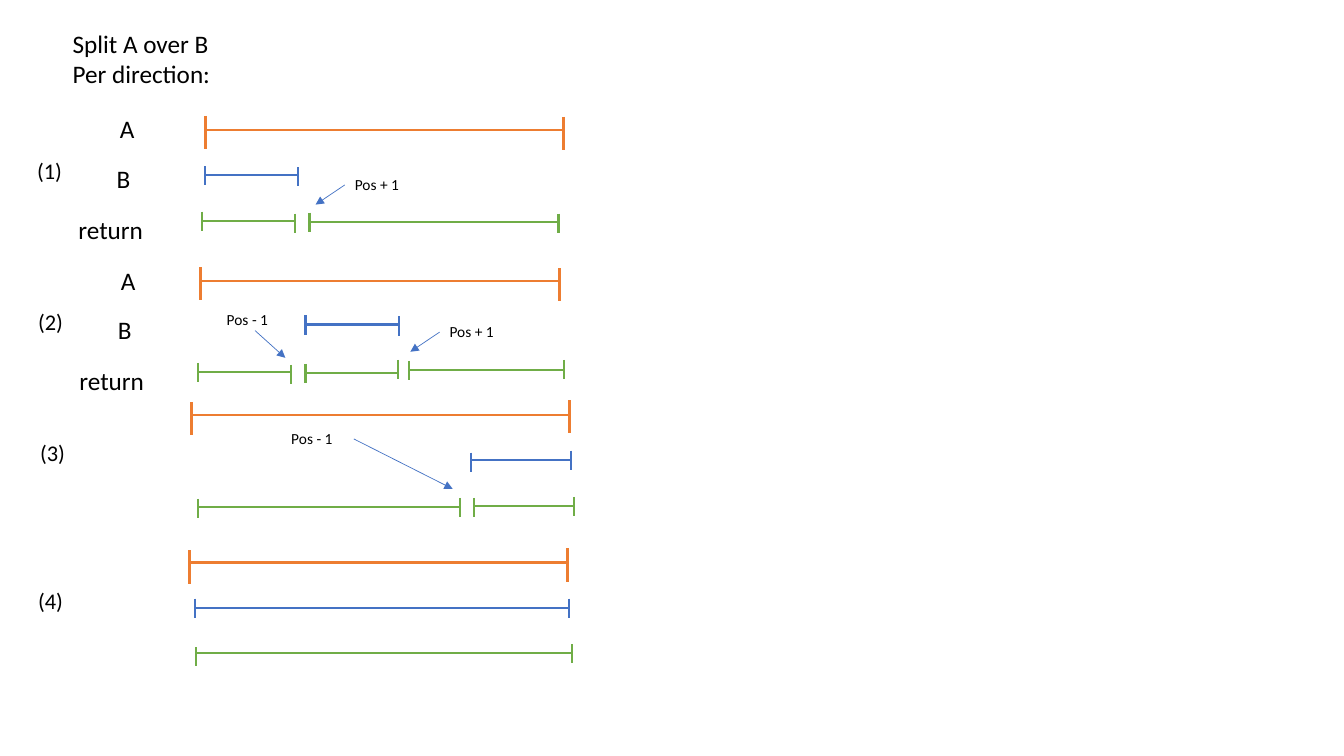
from lxml import etree
from pptx import Presentation
from pptx.dml.color import RGBColor
from pptx.enum.shapes import MSO_CONNECTOR
from pptx.enum.text import MSO_ANCHOR, MSO_AUTO_SIZE, PP_ALIGN
from pptx.oxml.ns import qn
from pptx.util import Inches, Pt

STRAIGHT = MSO_CONNECTOR.STRAIGHT
TOP = MSO_ANCHOR.TOP
NO_FIT = MSO_AUTO_SIZE.NONE
LEFT = PP_ALIGN.LEFT
LEFT_SIDE, RIGHT_SIDE = 1, 3

COLORS = {"text": "000000", "A": "ED7D31", "B": "4472C4",
          "return": "70AD47", "arrow": "4472C4"}
WEIGHTS = {"A": 1.75, "B": 1.5, "return": 1.5}
CAPS = {"A": 0.33, "B": 0.19, "return": 0.19}
NAMES = [("A", 0.82, 0, 0.44), ("B", 0.79, 0.49, 0.44), ("return", 0.41, 1, 0.97)]

# bars: kind, start, end, height, top of start cap, top of end cap
# notes: text, left, top, width, joined side, arrow start, arrow end
CASES = [
    {"box": (0.27, 1.08), "label": "(1)", "named": True,
     "bars": [("A", 1.77, 5.32, 0.21, 0.07, 0.08),
              ("B", 1.76, 2.69, 0.66, 0.57, 0.58),
              ("return", 1.73, 2.66, 1.11, 1.02, 1.04),
              ("return", 2.8, 5.27, 1.12, 1.03, 1.04)],
     "notes": [("Pos + 1", 3.15, 0.61, 0.68, LEFT_SIDE, (3.15, 0.76), (2.86, 0.95))]},
    {"box": (0.28, 2.58), "label": "(2)", "named": True,
     "bars": [("A", 1.71, 5.27, 0.21, 0.07, 0.08),
              ("B", 2.75, 3.68, 0.64, 0.55, 0.56),
              ("return", 1.68, 2.61, 1.11, 1.02, 1.04),
              ("return", 2.75, 3.67, 1.12, 1.03, 0.99),
              ("return", 3.78, 5.31, 1.09, 1, 0.99)],
     "notes": [("Pos - 1", 1.87, 0.45, 0.68, None, (2.25, 0.7), (2.55, 0.97)),
               ("Pos + 1", 4.08, 0.57, 0.68, LEFT_SIDE, (4.08, 0.72), (3.79, 0.91))]},
    {"box": (0.3, 3.88), "label": "(3)", "named": False,
     "bars": [("A", 1.6, 5.35, 0.24, 0.11, 0.09),
              ("B", 4.37, 5.36, 0.68, 0.61, 0.59),
              ("return", 1.66, 4.26, 1.15, 1.07, 1.06),
              ("return", 4.4, 5.39, 1.14, 1.06, 1.05)],
     "notes": [("Pos - 1", 2.49, 0.33, 0.72, RIGHT_SIDE, (3.21, 0.47), (4.19, 0.97))]},
    {"box": (0.28, 5.35), "label": "(4)", "named": False,
     "bars": [("A", 1.6, 5.35, 0.23, 0.11, 0.09),
              ("B", 1.65, 5.36, 0.68, 0.59, 0.59),
              ("return", 1.66, 5.39, 1.13, 1.07, 1.04)],
     "notes": []},
]


def write(sp, text, size=18, color="text"):
    tf = sp.text_frame
    tf.word_wrap = True
    tf.auto_size = NO_FIT
    tf.vertical_anchor = TOP
    for i, line in enumerate(text.split("\n")):
        p = tf.add_paragraph() if i else tf.paragraphs[0]
        p.alignment = LEFT
        r = p.add_run()
        r.text = line
        r.font.name = "Calibri"
        r.font.size = Pt(size)
        r.font.color.rgb = RGBColor.from_string(COLORS[color])


def add_text(s, text, x, y, w, h, **fmt):
    sp = s.shapes.add_textbox(Inches(x), Inches(y), Inches(w), Inches(h))
    write(sp, text, **fmt)
    return sp


def add_line(s, start, end, color, weight, arrow=False):
    ln = s.shapes.add_connector(STRAIGHT, *map(Inches, (*start, *end)))
    ln.line.color.rgb = RGBColor.from_string(COLORS[color])
    ln.line.width = Pt(weight)
    if arrow:
        tail = etree.SubElement(ln.line._get_or_add_ln(), qn("a:tailEnd"))
        tail.set("type", "triangle")
    etree.SubElement(ln._element.spPr, qn("a:effectLst"))
    return ln


def add_bar(s, x, y, kind, start, end, level, *cap_tops):
    weight = WEIGHTS[kind]
    add_line(s, (x + start, y + level), (x + end, y + level), kind, weight)
    for cap_x, top in zip((start, end), cap_tops):
        add_line(s, (x + cap_x, y + top), (x + cap_x, y + top + CAPS[kind]), kind, weight)


def add_note(s, x, y, text, left, top, width, side, start, end):
    sp = add_text(s, text, x + left, y + top, width, 0.29, size=11)
    ln = add_line(s, (x + start[0], y + start[1]), (x + end[0], y + end[1]),
                  "arrow", 0.5, arrow=True)
    if side is not None:
        ln.begin_connect(sp, side)


def add_case(s, case):
    x, y = case["box"]
    add_text(s, case["label"], x, y + 0.43, 0.66, 0.37, size=16)
    if case["named"]:
        for name, left, top, width in NAMES:
            add_text(s, name, x + left, y + top, width, 0.4)
    for bar in case["bars"]:
        add_bar(s, x, y, *bar)
    for note in case["notes"]:
        add_note(s, x, y, *note)


def add_title(s, x, y, w, h):
    sp = s.shapes.title
    sp.left, sp.top, sp.width, sp.height = map(Inches, (x, y, w, h))
    write(sp, "Split A over B\nPer direction:")


def main():
    prs = Presentation()
    prs.slide_width, prs.slide_height = Inches(13.33), Inches(7.5)
    s = prs.slides.add_slide(prs.slide_layouts[5])
    add_title(s, 0.62, 0.23, 3.22, 0.71)
    for case in CASES:
        add_case(s, case)
    prs.save("out.pptx")


if __name__ == "__main__":
    main()
